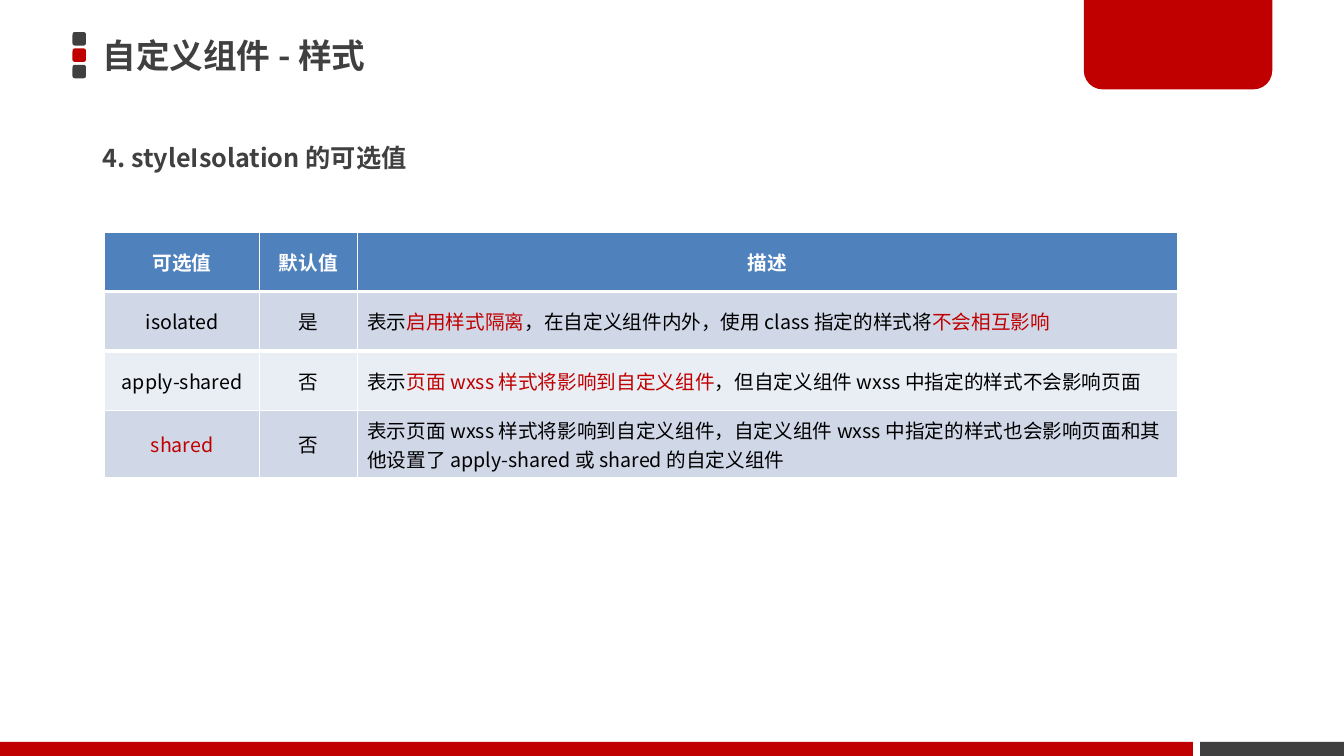
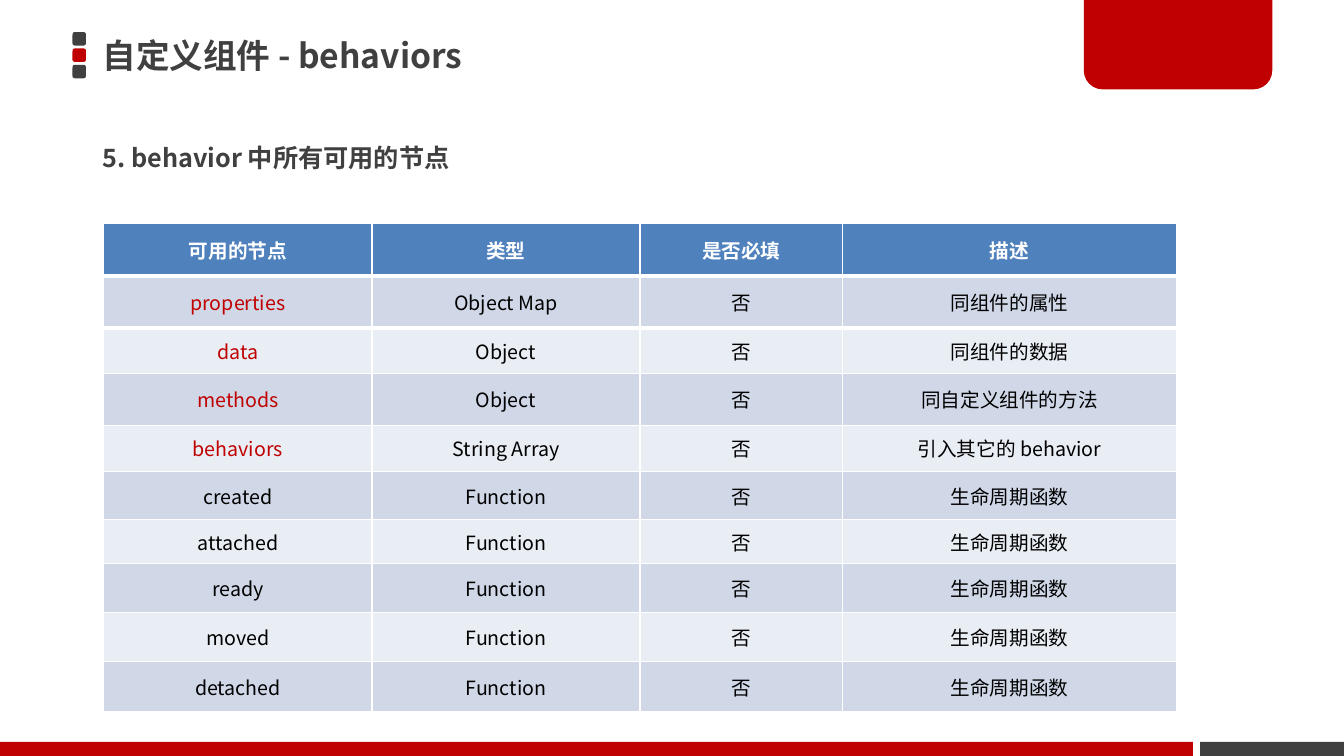
from lxml import etree
from pptx import Presentation
from pptx.dml.color import RGBColor
from pptx.enum import shapes, text
from pptx.oxml.ns import qn
from pptx.util import Pt

RED = RGBColor(0xC0, 0x00, 0x00)
DARK = RGBColor(0x40, 0x40, 0x40)
BLACK = RGBColor(0x00, 0x00, 0x00)
WHITE = RGBColor(0xFF, 0xFF, 0xFF)
BLUE = RGBColor(0x4F, 0x81, 0xBD)
BANDS = [RGBColor(0xD0, 0xD8, 0xE8), RGBColor(0xE9, 0xED, 0xF4)]
FACE = "Noto Sans CJK JP"
WIDE, HIGH = 960, 540
KIND = shapes.MSO_SHAPE
MID = text.MSO_ANCHOR.MIDDLE
LEFT, CENTER = text.PP_ALIGN.LEFT, text.PP_ALIGN.CENTER

STYLES = {
    "title": "自定义组件 - 样式",
    "head": "4. styleIsolation 的可选值",
    "box": (74.9, 165.8),
    "cols": [110.5, 69.8, 585.8],
    "rows": [42.5, 42.5, 42.5, 47.8],
    "align": [CENTER, CENTER, LEFT],
    "cells": [
        ["可选值", "默认值", "描述"],
        ["isolated", "是",
         "表示*启用样式隔离*，在自定义组件内外，使用 class 指定的样式将*不会相互影响*"],
        ["apply-shared", "否",
         "表示*页面 wxss 样式将影响到自定义组件*，但自定义组件 wxss 中指定的样式不会影响页面"],
        ["*shared*", "否",
         "表示页面 wxss 样式将影响到自定义组件，自定义组件 wxss 中指定的样式也会影响页面和"
         "其他设置了 apply-shared 或 shared 的自定义组件"],
    ],
}

HOOKS = ["created", "attached", "ready", "moved", "detached"]
NODES = {
    "title": "自定义组件 - behaviors",
    "head": "5. behavior 中所有可用的节点",
    "box": (74.2, 159.8),
    "cols": [191.5, 191.5, 144.7, 238.6],
    "rows": [37.2, 37.2, 32.4, 37.2, 33, 34.3, 31.7, 34.6, 35.3, 36],
    "align": [CENTER] * 4,
    "cells": [
        ["可用的节点", "类型", "是否必填", "描述"],
        ["*properties*", "Object Map", "否", "同组件的属性"],
        ["*data*", "Object", "否", "同组件的数据"],
        ["*methods*", "Object", "否", "同自定义组件的方法"],
        ["*behaviors*", "String Array", "否", "引入其它的 behavior"],
    ] + [[hook, "Function", "否", "生命周期函数"] for hook in HOOKS],
}


def write(frame, words, size, color, bold, align=LEFT):
    para = frame.paragraphs[0]
    para.alignment = align
    font = para.font
    font.size, font.bold, font.name = Pt(size), bold, FACE
    font.color.rgb = color
    props = para._p.pPr.find(qn("a:defRPr"))
    etree.SubElement(props, qn("a:ea"), typeface=FACE)
    for i, part in enumerate(words.split("*")):
        if part:
            run = para.add_run()
            run.text = part
            if i % 2:
                run.font.color.rgb = RED


def block(slide, kind, box, color):
    shape = slide.shapes.add_shape(kind, *map(Pt, box))
    shape.shadow.inherit = False
    shape.fill.solid()
    shape.fill.fore_color.rgb = color
    shape.line.fill.background()
    return shape


def label(slide, box, words, size):
    frame = slide.shapes.add_textbox(*map(Pt, box)).text_frame
    frame.word_wrap = True
    frame.vertical_anchor = MID
    write(frame, words, size, DARK, True)


def marks(slide, left, top, side, step):
    for i, color in enumerate([DARK, RED, DARK]):
        block(slide, KIND.ROUNDED_RECTANGLE,
              (left, top + i * step, side, side), color)


def tab(slide, box):
    shape = block(slide, KIND.ROUND_2_SAME_RECTANGLE, box, RED)
    shape.adjustments[0] = 0
    shape.adjustments[1] = 0.21


def footer(slide, top, split, gap):
    block(slide, KIND.RECTANGLE, (0, top, split, HIGH - top), RED)
    start = split + gap
    block(slide, KIND.RECTANGLE, (start, top, WIDE - start, HIGH - top), DARK)


def rule(cell, side, width):
    line = etree.Element(qn("a:" + side), w=str(Pt(width)))
    fill = etree.SubElement(line, qn("a:solidFill"))
    etree.SubElement(fill, qn("a:srgbClr"), val=str(WHITE))
    cell._tc.get_or_add_tcPr().insert(0, line)


def grid(slide, data):
    cols, rows = data["cols"], data["rows"]
    size = sum(cols), sum(rows)
    table = slide.shapes.add_table(
        len(rows), len(cols), *map(Pt, data["box"] + size)).table
    for col, width in zip(table.columns, cols):
        col.width = Pt(width)
    for i, (row, height) in enumerate(zip(table.rows, rows)):
        row.height = Pt(height)
        top = i == 0
        for j, cell in enumerate(row.cells):
            cell.vertical_anchor = MID
            cell.fill.solid()
            cell.fill.fore_color.rgb = BLUE if top else BANDS[(i - 1) % 2]
            if i < 2:
                rule(cell, "lnB" if top else "lnT", 3)
            write(cell.text_frame, data["cells"][i][j], 14,
                  WHITE if top else BLACK, top,
                  CENTER if top else data["align"][j])


def page(deck, data):
    slide = deck.slides.add_slide(deck.slide_layouts[6])
    marks(slide, 51.8, 22.9, 9.6, 11.7)
    tab(slide, (774.2, 0, 134.6, 63.8))
    footer(slide, 530, 852, 5.3)
    label(slide, (66.2, 18.7, 690.5, 41), data["title"], 24)
    label(slide, (66.2, 92.2, 775.4, 41), data["head"], 18)
    grid(slide, data)


def main():
    deck = Presentation()
    deck.slide_width, deck.slide_height = Pt(WIDE), Pt(HIGH)
    for data in (STYLES, NODES):
        page(deck, data)
    deck.save("out.pptx")


if __name__ == "__main__":
    main()
